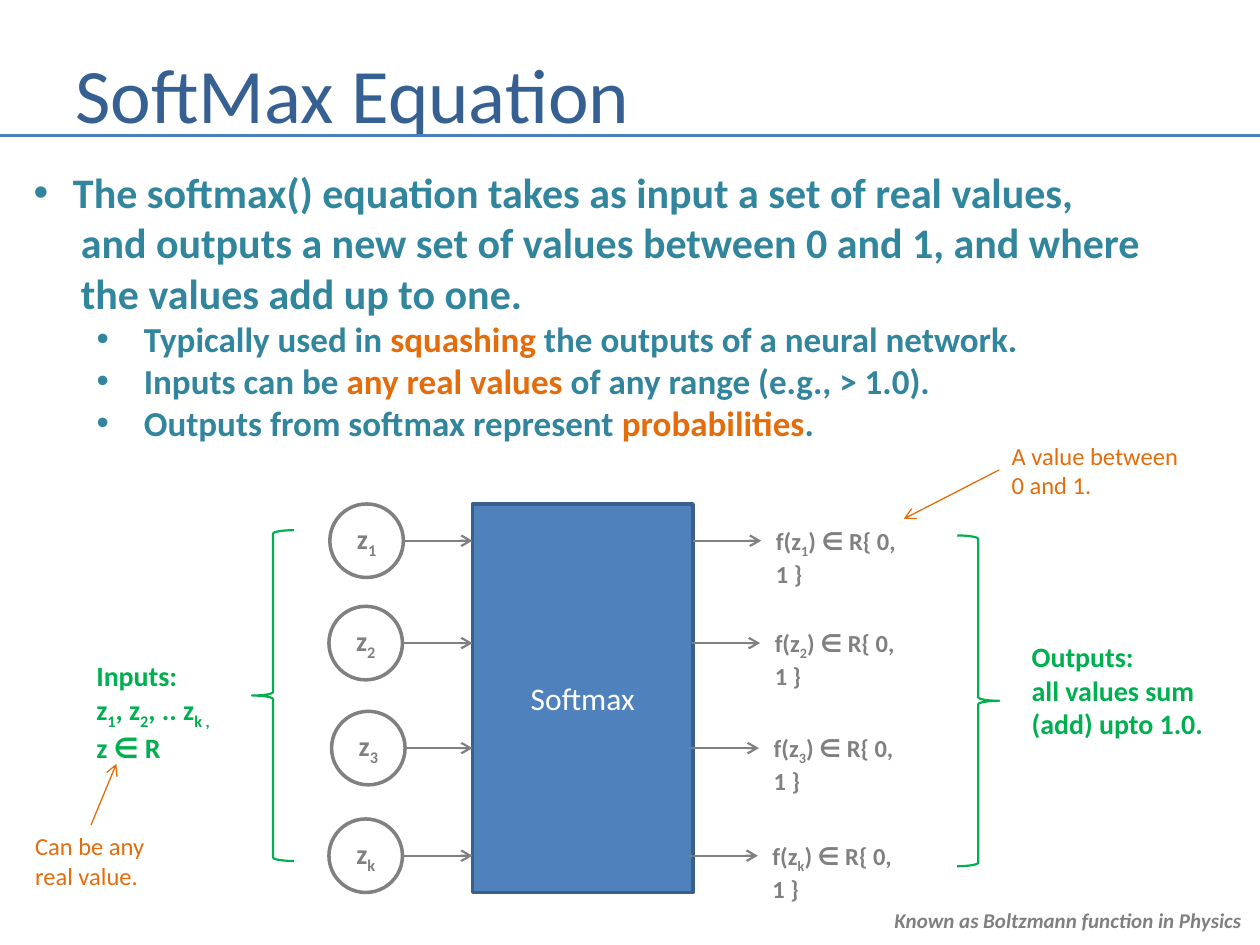
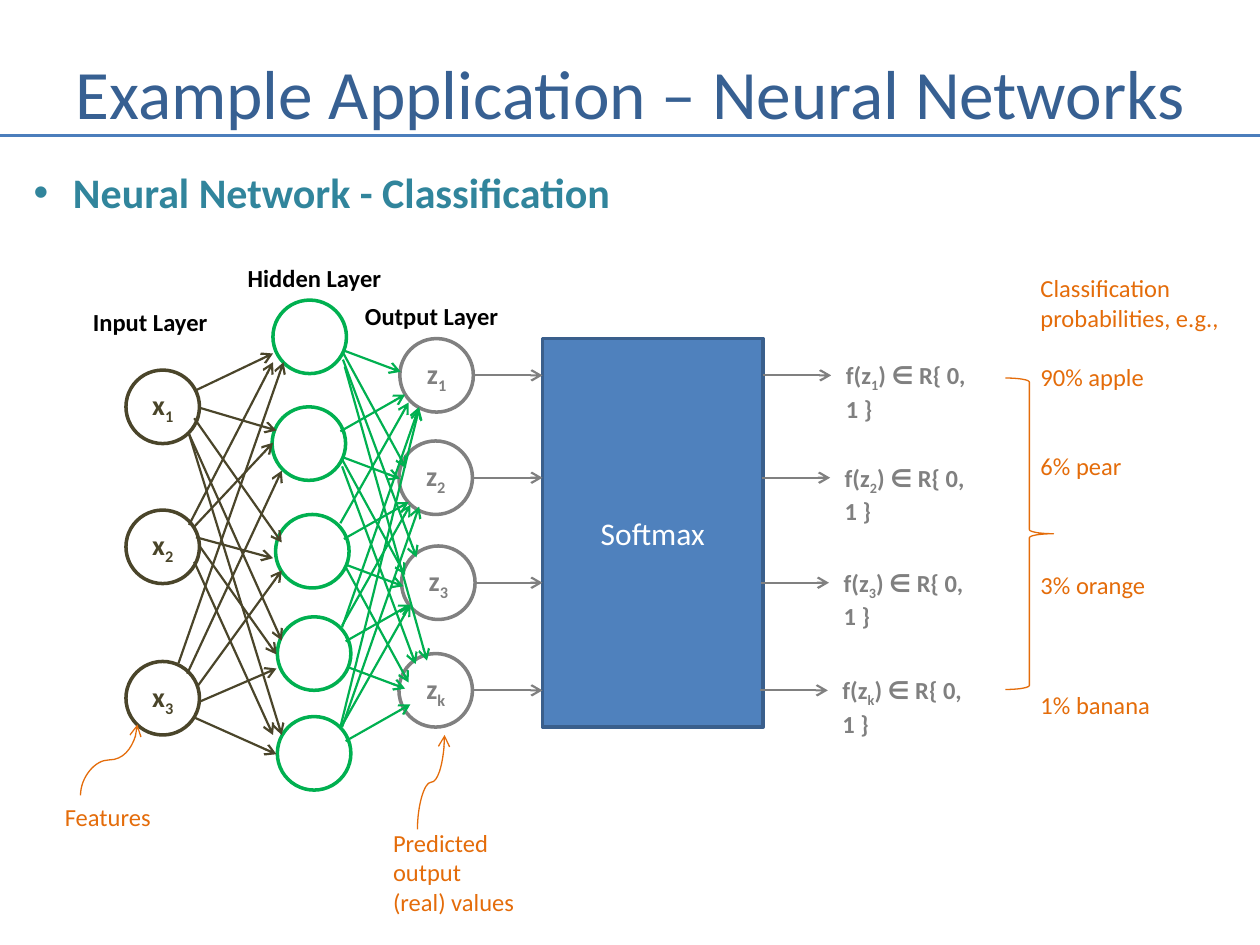
"""Build two slides on the softmax equation and its use in neural networks."""
from lxml.etree import SubElement
from pptx import Presentation
from pptx.dml.color import RGBColor
from pptx.enum.shapes import MSO_CONNECTOR, MSO_SHAPE
from pptx.enum.text import MSO_ANCHOR, MSO_AUTO_SIZE, PP_ALIGN
from pptx.oxml.ns import qn
from pptx.util import Pt

FONT = "Calibri"
TITLE_BLUE, RULE_BLUE, TEAL = "376092", "4B7EBC", "31859C"
BOX_FILL, BOX_LINE, WHITE, BLACK = "4F81BD", "3A5F8C", "FFFFFF", "000000"
GRAY, GREEN, ORANGE, BROWN = "808080", "00B050", "E46C0A", "4A452A"

EQUATION_BULLETS = [
    ("head", "The softmax() equation takes as input a set of real values,"),
    ("more", "and outputs a new set of values between 0 and 1, and where"),
    ("more", "the values add up to one."),
    ("item", "Typically used in |squashing| the outputs of a neural network."),
    ("item", "Inputs can be |any real values |of any range (e.g., > 1.0)."),
    ("item", "Outputs from softmax represent |probabilities|."),
]
NETWORK_BULLETS = [("head", "Neural Network - Classification")]
BULLET_STYLES = {
    "head": {"level": 0, "margin": 22.5, "indent": -22.5, "size": 24},
    "more": {"level": 0, "margin": 27, "indent": 0, "size": 24},
    "item": {"level": 1, "margin": 63, "indent": -27, "size": 20},
}

NODE_SIZE = 42
SOFTMAX_SIZE = (126, 222)
SOFTMAX_ROWS = [("1", -81.5, 0), ("2", -82, 58.5), ("3", -80.5, 118.5), ("k", -82, 180)]

INPUT_NODES = [(72, 211.5), (72, 291.5), (72, 378)]
HIDDEN_NODES = [(156, 171.5), (155.5, 232.5), (157.5, 294), (158.5, 352.5), (158.5, 409.5)]
INPUT_WIRES = [
    (112, 223, 156, 202), (114, 233, 158, 246), (111, 239, 161, 310),
    (108, 248, 161, 366), (108, 248, 161, 420),
    (108, 300, 156, 207), (111, 301, 156, 253), (112, 307, 156, 319),
    (114, 312, 158, 374), (111, 321, 156, 420),
    (102, 379, 162, 207), (107, 385, 161, 269), (113, 392, 161, 326),
    (114, 401, 158, 382), (111, 410, 158, 431),
]
HIDDEN_WIRES_BY_STEP = {
    -4: (15, -15, 45, -182), -3: (16, -15, 44, -126), -2: (16, -16, 39, -69),
    -1: (18, -7, 37, -21), 0: (20, 8, 32, 12), 1: (19, 9, 36, 66),
    2: (19, 13, 42, 113), 3: (20, 17, 47, 168),
}

LAYER_LABELS = [
    ("Input Layer", 46, 172), ("Hidden Layer", 134.5, 147), ("Output Layer", 201.5, 168.5),
]
LINE_HEIGHT = 17.1
PROBABILITIES = [
    ("Classification", 0), ("probabilities, e.g.,", 0), ("90% apple", 1),
    ("6% pear", 2), ("3% orange", 3), ("1% banana", 3),
]


def color(hex_string):
    """Return the colour for a hex string."""
    return RGBColor.from_string(hex_string)


def write(paragraph, marked, size, hex_color, bold=False, italic=False, highlight=None):
    """Write text whose parts between bars are highlighted or, by default, subscript."""
    for index, part in enumerate(marked.split("|")):
        if not part:
            continue
        run = paragraph.add_run()
        run.text = part
        font = run.font
        font.name, font.size, font.bold, font.italic = FONT, Pt(size), bold, italic
        special = index % 2 == 1
        font.color.rgb = color(highlight if special and highlight else hex_color)
        if special and not highlight:
            run._r.get_or_add_rPr().set("baseline", "-25000")


def add_text(slide, lines, left, top, width, height, size, hex_color, blanks=None, **style):
    """Add a text box with one paragraph for each line."""
    box = slide.shapes.add_textbox(Pt(left), Pt(top), Pt(width), Pt(height))
    frame = box.text_frame
    frame.word_wrap = True
    frame.margin_right = 0
    for index, line in enumerate(lines):
        paragraph = frame.add_paragraph() if index else frame.paragraphs[0]
        write(paragraph, line, size, hex_color, **style)
        if blanks:
            paragraph.space_before = Pt(blanks[index] * LINE_HEIGHT)


def add_shape(slide, kind, left, top, width, height, line, weight, fill=None):
    """Add a preset shape without a shadow."""
    shape = slide.shapes.add_shape(kind, Pt(left), Pt(top), Pt(width), Pt(height))
    shape.shadow.inherit = False
    if fill:
        shape.fill.solid()
        shape.fill.fore_color.rgb = color(fill)
    else:
        shape.fill.background()
    shape.line.color.rgb = color(line)
    shape.line.width = Pt(weight)
    return shape


def add_centered(shape, marked, size, hex_color, bold=False):
    """Write a centred label inside a shape."""
    frame = shape.text_frame
    frame.vertical_anchor = MSO_ANCHOR.MIDDLE
    frame.margin_left = frame.margin_right = 0
    frame.paragraphs[0].alignment = PP_ALIGN.CENTER
    write(frame.paragraphs[0], marked, size, hex_color, bold)


def add_node(slide, left, top, hex_color, label=""):
    """Add a network node."""
    node = add_shape(slide, MSO_SHAPE.OVAL, left, top, NODE_SIZE, NODE_SIZE, hex_color, 2)
    if label:
        add_centered(node, label, 16, hex_color, bold=True)


def add_line(slide, start_x, start_y, end_x, end_y, hex_color, weight=1.25,
             arrow=True, kind=MSO_CONNECTOR.STRAIGHT):
    """Add a connector, by default with an arrowhead at its end."""
    connector = slide.shapes.add_connector(kind, Pt(start_x), Pt(start_y), Pt(end_x), Pt(end_y))
    connector.line.color.rgb = color(hex_color)
    connector.line.width = Pt(weight)
    properties = connector._element.spPr
    if arrow:
        SubElement(properties.find(qn("a:ln")), qn("a:tailEnd"), type="arrow")
    SubElement(properties, qn("a:effectLst"))
    return connector


def add_upward_curve(slide, start_x, start_y, end_x, end_y):
    """Add a curved arrow that leaves and arrives vertically, by turning it a quarter."""
    middle_x, middle_y = (start_x + end_x) / 2, (start_y + end_y) / 2
    half_rise, half_run = (start_y - end_y) / 2, (end_x - start_x) / 2
    curve = add_line(slide, middle_x + half_rise, middle_y + half_run,
                     middle_x - half_rise, middle_y - half_run,
                     ORANGE, 0.75, kind=MSO_CONNECTOR.CURVE)
    curve._element.spPr.find(qn("a:xfrm")).set("rot", "5400000")


def place(shape, left, top, width, height):
    """Move and size a placeholder."""
    shape.left, shape.top, shape.width, shape.height = Pt(left), Pt(top), Pt(width), Pt(height)
    shape.text_frame.auto_size = MSO_AUTO_SIZE.NONE


def add_bullets(body, bullets):
    """Fill the body placeholder with bullets and continuation lines."""
    for index, (kind, marked) in enumerate(bullets):
        frame = body.text_frame
        paragraph = frame.add_paragraph() if index else frame.paragraphs[0]
        style = BULLET_STYLES[kind]
        paragraph.level = style["level"]
        paragraph.space_before = Pt(0)
        properties = paragraph._p.get_or_add_pPr()
        properties.set("marL", str(Pt(style["margin"])))
        properties.set("indent", str(Pt(style["indent"])))
        if style["indent"]:
            SubElement(properties, qn("a:buFont"), typeface="Arial")
            SubElement(properties, qn("a:buChar"), char="•")
        else:
            SubElement(properties, qn("a:buNone"))
        write(paragraph, marked, style["size"], TEAL, bold=True, highlight=ORANGE)


def start_slide(presentation, title, title_size, title_width, bullets, body_size):
    """Add a slide with its title, rule and bullets."""
    slide = presentation.slides.add_slide(presentation.slide_layouts[1])
    heading, body = slide.placeholders
    place(heading, 36, 21.5, title_width, 62.5)
    heading.text_frame.vertical_anchor = MSO_ANCHOR.MIDDLE
    heading.text_frame.paragraphs[0].alignment = PP_ALIGN.LEFT
    write(heading.text_frame.paragraphs[0], title, title_size, TITLE_BLUE)
    add_line(slide, 0, 77.5, 720, 77.5, RULE_BLUE, 1.5, arrow=False)
    place(body, 12, 91.5, *body_size)
    add_bullets(body, bullets)
    return slide


def add_softmax(slide, left, top):
    """Add the softmax block with its input nodes and output formulas."""
    width, height = SOFTMAX_SIZE
    block = add_shape(slide, MSO_SHAPE.RECTANGLE, left, top, width, height, BOX_LINE, 2, BOX_FILL)
    add_centered(block, "Softmax", 18, WHITE)
    for index, (name, node_x, row_y) in enumerate(SOFTMAX_ROWS):
        node_left, node_top = left + node_x, top + row_y
        middle = node_top + NODE_SIZE / 2
        exit_x = left + width - 0.65 * index
        add_node(slide, node_left, node_top, GRAY, f"z|{name}|")
        add_line(slide, node_left + NODE_SIZE, middle, left, middle, GRAY)
        add_line(slide, exit_x, middle, exit_x + 39, middle, GRAY)
        add_text(slide, [f"f(z|{name}|) ∈ R{{ 0, 1 }}"], exit_x + 40.3, node_top + 8.8,
                 92, 24, 14, GRAY, bold=True)


def build_equation_slide(presentation):
    """Build the slide that explains the equation."""
    slide = start_slide(presentation, "SoftMax Equation", 44, 654, EQUATION_BULLETS, (653, 167))
    add_softmax(slide, 270, 288)
    add_shape(slide, MSO_SHAPE.LEFT_BRACE, 144, 303, 24, 189, GREEN, 1.25)
    add_shape(slide, MSO_SHAPE.RIGHT_BRACE, 547, 306, 24, 189, GREEN, 1.25)
    add_text(slide, ["Inputs:", "z|1|, z|2|, .. z|k ,|", "z ∈ R"],
             48, 373, 83, 65.5, 16, GREEN, bold=True)
    add_text(slide, ["Outputs:", "all values sum", "(add) upto 1.0."],
             582.5, 362, 114, 65.5, 16, GREEN, bold=True)
    add_text(slide, ["Can be any", "real value."], 13, 471.5, 78, 41, 14, ORANGE)
    add_text(slide, ["A value between", "0 and 1."], 571, 248.5, 111, 41, 14, ORANGE)
    add_line(slide, 52, 471.5, 66.5, 436.5, ORANGE, 0.75)
    add_line(slide, 571, 268.5, 516.5, 296.5, ORANGE, 0.75)
    add_text(slide, ["Known as Boltzmann function in Physics"],
             504, 515, 216, 21.5, 12, GRAY, bold=True, italic=True)


def build_network_slide(presentation):
    """Build the slide that applies softmax to a neural network."""
    slide = start_slide(presentation, "Example Application – Neural Networks", 39.6, 678,
                        NETWORK_BULLETS, (348, 36))
    add_softmax(slide, 310, 193.5)
    for left, top in HIDDEN_NODES:
        add_node(slide, left, top, GREEN)
    for source, (left, top) in enumerate(HIDDEN_NODES):
        for target in range(len(SOFTMAX_ROWS)):
            offset_x, offset_y, run, rise = HIDDEN_WIRES_BY_STEP[target - source]
            start_x = left + NODE_SIZE / 2 + offset_x
            start_y = top + NODE_SIZE / 2 + offset_y
            add_line(slide, start_x, start_y, start_x + run, start_y + rise, GREEN)
    for number, (left, top) in enumerate(INPUT_NODES, start=1):
        add_node(slide, left, top, BROWN, f"x|{number}|")
    for wire in INPUT_WIRES:
        add_line(slide, *wire, BROWN)
    for label, left, top in LAYER_LABELS:
        add_text(slide, [label], left, top, 92, 24, 14, BLACK, bold=True)
    add_text(slide, ["Features"], 30, 454.5, 64, 24, 14, ORANGE)
    add_text(slide, ["Predicted", "output", "(real) values"], 217.5, 469.5, 84, 58, 14, ORANGE)
    add_upward_curve(slide, 46, 454.5, 78.5, 414)
    add_upward_curve(slide, 238.5, 474, 254, 420)
    add_shape(slide, MSO_SHAPE.RIGHT_BRACE, 574.5, 216, 27.5, 178, ORANGE, 0.75)
    lines, blanks = zip(*PROBABILITIES)
    add_text(slide, lines, 587.5, 152.5, 117, 262, 14, ORANGE, blanks=blanks)


def main():
    """Build and save the presentation."""
    presentation = Presentation()
    presentation.slide_width, presentation.slide_height = Pt(720), Pt(540)
    build_equation_slide(presentation)
    build_network_slide(presentation)
    presentation.save("out.pptx")


if __name__ == "__main__":
    main()
